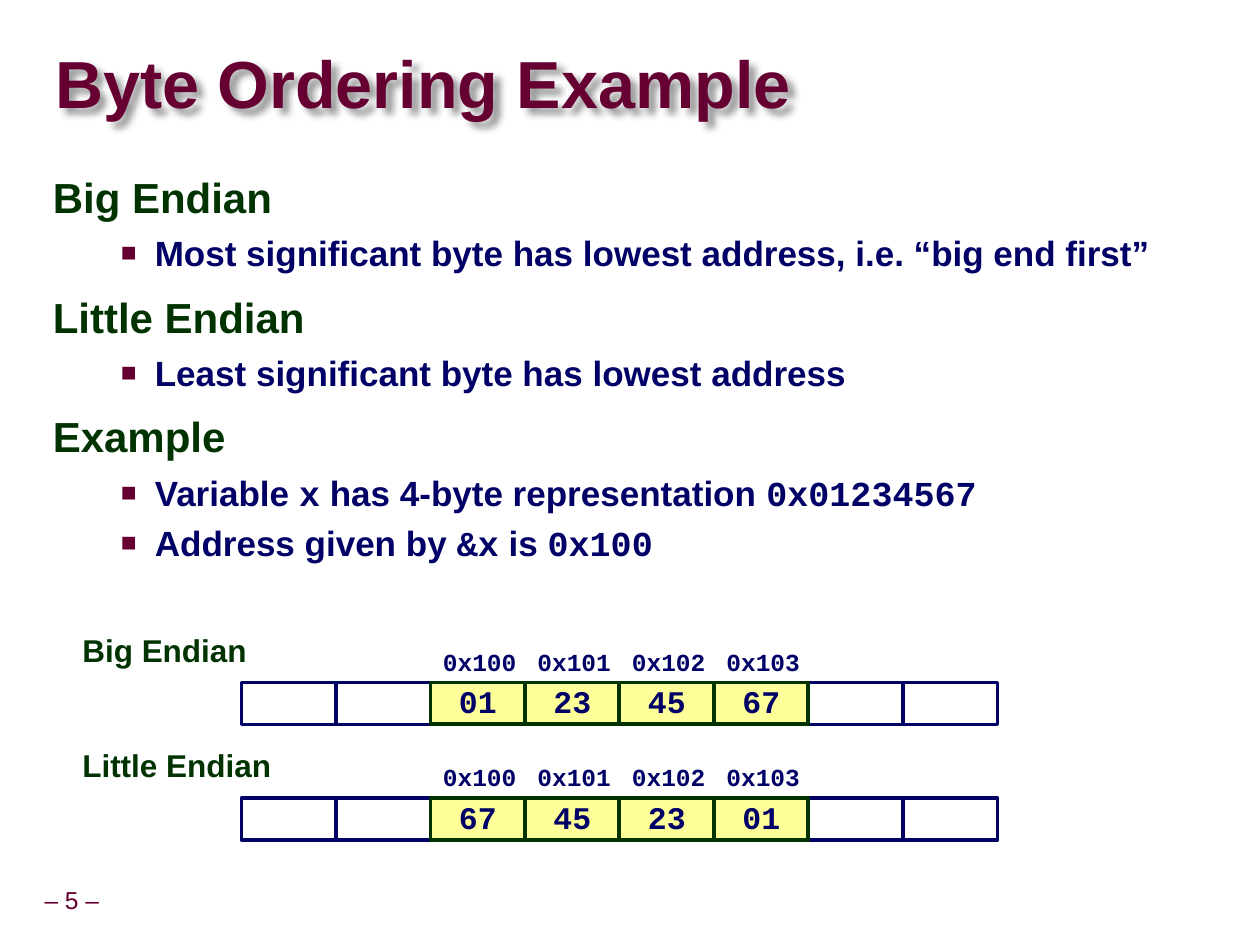
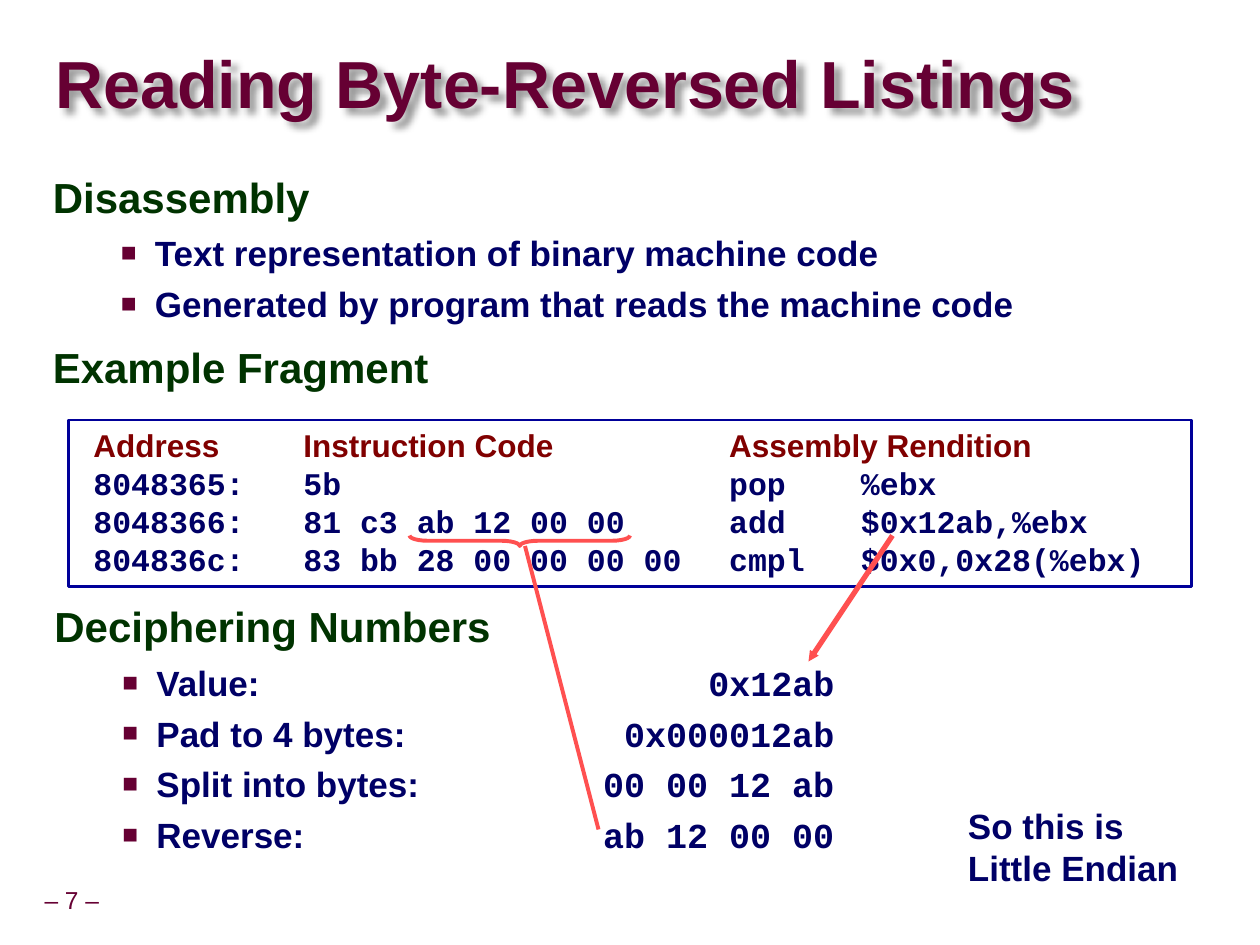
"""Builds two slides on byte ordering, on a grid of 120 columns by 90 rows."""
import pptx
import pptx.dml.color
import pptx.enum.dml
import pptx.enum.shapes
import pptx.enum.text
import pptx.oxml
import pptx.oxml.ns
import pptx.util

COLORS = {
    "white": "FFFFFF", "maroon": "660033", "green": "003300", "navy": "000066",
    "frame": "000099", "header": "800000", "yellow": "FFFF99", "coral": "FF5050",
}
SANS, MONO = "Arial", "Courier New"
UNIT = pptx.util.Inches(10) // 120
ALIGN = pptx.enum.text.PP_ALIGN
ANCHOR = pptx.enum.text.MSO_ANCHOR
SHAPE = pptx.enum.shapes.MSO_SHAPE
VALUE_TAB = [(74.3, "r")]
CODE_TABS = [(21.8, "l"), (62.35, "l"), (74.9, "l")]


def units(*counts):
    """Turn grid counts into lengths."""
    return [round(count * UNIT) for count in counts]


def rgb(name):
    """Look up a named colour."""
    return pptx.dml.color.RGBColor.from_string(COLORS[name])


def add_xml(parent, markup):
    """Append one drawing element written as markup."""
    head, mark, rest = markup.partition(">")
    slash = "/" if head.endswith("/") else ""
    head = head.rstrip("/") + " " + pptx.oxml.ns.nsdecls("a") + slash
    parent.append(pptx.oxml.parse_xml(head + mark + rest))


def set_frame(box, insets, anchor=ANCHOR.TOP, wrap=True):
    """Set the insets, anchor and wrapping of a box."""
    frame = box.text_frame
    frame.margin_left = frame.margin_right = pptx.util.Inches(insets[0])
    frame.margin_top = frame.margin_bottom = pptx.util.Inches(insets[1])
    frame.vertical_anchor = anchor
    frame.word_wrap = wrap
    return box


def add_box(page, place, insets=(0.1, 0.05), anchor=ANCHOR.TOP, wrap=True):
    """Add a text box at a grid place."""
    return set_frame(page.shapes.add_textbox(*units(*place)), insets, anchor, wrap)


def add_shape(page, kind, place, fill=None, line=None, width=1):
    """Add a preset shape with an optional fill and line."""
    shape = page.shapes.add_shape(kind, *units(*place))
    shape.shadow.inherit = False
    if fill:
        shape.fill.solid()
        shape.fill.fore_color.rgb = rgb(fill)
    else:
        shape.fill.background()
    if line:
        shape.line.color.rgb = rgb(line)
        shape.line.width = pptx.util.Pt(width)
    else:
        shape.line.fill.background()
    return shape


def add_para(box, align=ALIGN.LEFT, spacing=None):
    """Use the empty first paragraph or start a new one."""
    frame = box.text_frame
    first = frame.paragraphs[0]
    para = frame.add_paragraph() if first.runs else first
    para.alignment = align
    if spacing:
        para.line_spacing = spacing
    return para


def add_span(para, text, size, color, font=SANS, bold=True):
    """Add one run of text."""
    span = para.add_run()
    span.text = text
    span.font.size = pptx.util.Pt(size)
    span.font.name = font
    span.font.bold = bold
    span.font.color.rgb = rgb(color)


def add_tabs(para, tabs):
    """Set tab stops given as grid columns."""
    stops = "".join(f'<a:tab pos="{units(column)[0]}" algn="{side}"/>' for column, side in tabs)
    add_xml(para._p.get_or_add_pPr(), f"<a:tabLst>{stops}</a:tabLst>")


def indent(para, margin, hanging, before):
    """Set a hanging indent and the space before, in percent."""
    properties = para._p.get_or_add_pPr()
    properties.set("marL", str(pptx.util.Inches(margin)))
    properties.set("indent", str(-pptx.util.Inches(hanging)))
    add_xml(properties, f'<a:spcBef><a:spcPct val="{before * 1000}"/></a:spcBef>')
    return properties


def add_heading(box, text):
    """Add a green outline heading."""
    para = add_para(box, spacing=0.95)
    indent(para, 0.42, 0.42, 50)
    add_span(para, text, 24, "green")


def add_bullet(box, text):
    """Add a bullet; text between backticks is set in the code font."""
    para = add_para(box)
    properties = indent(para, 0.81, 0.27, 25)
    add_xml(properties, f'<a:buClr><a:srgbClr val="{COLORS["maroon"]}"/></a:buClr>')
    add_xml(properties, '<a:buSzPct val="75000"/>')
    add_xml(properties, f'<a:buFont typeface="{SANS}"/>')
    add_xml(properties, '<a:buChar char="■"/>')
    add_tabs(para, VALUE_TAB)
    for index, part in enumerate(text.split("`")):
        if part:
            add_span(para, part, 20, "navy", MONO if index % 2 else SANS)


def add_outline(page, place, sections):
    """Add headings, each with its bullets."""
    box = add_box(page, place)
    for heading, bullets in sections:
        add_heading(box, heading)
        for bullet in bullets:
            add_bullet(box, bullet)


def add_page(deck, title, number):
    """Add a blank page with the shared title and page number."""
    page = deck.slides.add_slide(deck.slide_layouts[6])
    page.background.fill.solid()
    page.background.fill.fore_color.rgb = rgb("white")
    footer = add_box(page, (2.9, 84, 7.9, 3.7), (0.05, 0.05), ANCHOR.MIDDLE, False)
    add_span(add_para(footer, ALIGN.CENTER, 0.9), f"– {number} –", 14, "maroon", bold=False)
    box = add_box(page, (5.25, 3.25, 114.4, 10.2), (0, 0), ANCHOR.MIDDLE)
    add_span(add_para(box, spacing=0.87), title, 38, "maroon")
    add_xml(box._element.spPr,
            '<a:effectLst><a:outerShdw blurRad="50800" dist="50800" dir="2700000">'
            '<a:srgbClr val="000000"><a:alpha val="40000"/></a:srgbClr>'
            '</a:outerShdw></a:effectLst>')
    return page


def add_memory(page, label, row, values):
    """Draw eight memory cells, the middle four addressed and filled."""
    left, width, height, first = 23, 9, 4, 2
    for column in range(8):
        place = (left + column * width, row + height, width, height)
        index = column - first
        if not 0 <= index < len(values):
            add_shape(page, SHAPE.RECTANGLE, place, "white", "navy", 2)
            continue
        address = add_shape(page, SHAPE.RECTANGLE, (place[0], row, width, height), "white")
        set_frame(address, (0.1, 0.05), ANCHOR.MIDDLE, False)
        add_span(add_para(address), f"0x{0x100 + index:x}", 14, "navy", MONO)
    for index, value in enumerate(values):
        place = (left + (first + index) * width, row + height, width, height)
        cell = add_shape(page, SHAPE.RECTANGLE, place, "yellow", "green", 2.25)
        set_frame(cell, (0.05, 0.05), ANCHOR.MIDDLE, False)
        add_span(add_para(cell, ALIGN.CENTER, 0.9), value, 18, "navy", MONO)
    box = add_box(page, (7, row - 1, 23.4, 4.1), (0.07, 0.03))
    add_span(add_para(box, spacing=0.95), label, 18, "green")


def add_listing(page, place, header, rows):
    """Add a framed code listing with tabbed columns."""
    box = add_shape(page, SHAPE.RECTANGLE, place, line="frame", width=1.5)
    set_frame(box, (0.05, 0.05))
    for index, row in enumerate([header] + rows):
        para = add_para(box)
        add_tabs(para, CODE_TABS)
        add_span(para, " ", 18, "navy", MONO)
        color, font = ("navy", MONO) if index else ("header", SANS)
        add_span(para, "\t".join(row), 18, color, font)


def add_line(page, start, end, width, arrow=False):
    """Draw a coral line, with an arrowhead at its end if asked."""
    kind = pptx.enum.shapes.MSO_CONNECTOR.STRAIGHT
    line = page.shapes.add_connector(kind, *units(*start, *end))
    line.line.color.rgb = rgb("coral")
    line.line.width = pptx.util.Pt(width)
    if arrow:
        add_xml(line.line._get_or_add_ln(), '<a:tailEnd type="triangle" w="sm" len="sm"/>')
    add_xml(line._element.spPr, "<a:effectLst/>")


def build_ordering(deck):
    """Build the page that compares the two byte orders."""
    page = add_page(deck, "Byte Ordering Example", 5)
    add_outline(page, (3.85, 16.1, 109, 68.5), [
        ("Big Endian", ["Most significant byte has lowest address, i.e. “big end first”"]),
        ("Little Endian", ["Least significant byte has lowest address"]),
        ("Example", ["Variable `x` has 4-byte representation `0x01234567`",
                     "Address given by `&x` is `0x100`"]),
    ])
    values = ["01", "23", "45", "67"]
    add_memory(page, "Big Endian", 61, values)
    add_memory(page, "Little Endian", 72, values[::-1])


def build_listings(deck):
    """Build the page that reads a disassembled fragment."""
    page = add_page(deck, "Reading Byte-Reversed Listings", 7)
    add_outline(page, (3.85, 16.1, 109, 68), [
        ("Disassembly", ["Text representation of binary machine code",
                         "Generated by program that reads the machine code"]),
        ("Example Fragment", []),
    ])
    add_listing(page, (6.5, 40, 107, 15.85),
                ["Address", "Instruction Code", "Assembly Rendition"], [
                    ["8048365:", "5b", "pop", "%ebx"],
                    ["8048366:", "81 c3 ab 12 00 00", "add", "$0x12ab,%ebx"],
                    ["804836c:", "83 bb 28 00 00 00 00", "cmpl", "$0x0,0x28(%ebx)"],
                ])
    add_line(page, (85, 51), (77, 63), 3, arrow=True)
    brace = add_shape(page, SHAPE.LEFT_BRACE, (49, 41, 1, 21), line="coral", width=2.25)
    brace.adjustments[0] = 1.75
    brace.rotation = 270
    add_line(page, (57, 79), (50, 52), 2.25)
    add_outline(page, (4, 57, 109, 17), [
        ("Deciphering Numbers", ["Value: \t`0x12ab`", "Pad to 4 bytes: \t`0x000012ab`",
                                 "Split into bytes: \t`00 00 12 ab`",
                                 "Reverse: \t`ab 12 00 00`"]),
    ])
    box = add_box(page, (91, 76, 22.7, 9.2), wrap=False)
    for text in ("So this is", "Little Endian"):
        add_span(add_para(box), text, 20, "navy")


def main():
    """Build and save the deck."""
    deck = pptx.Presentation()
    deck.slide_width, deck.slide_height = units(120, 90)
    build_ordering(deck)
    build_listings(deck)
    deck.save("out.pptx")


main()
